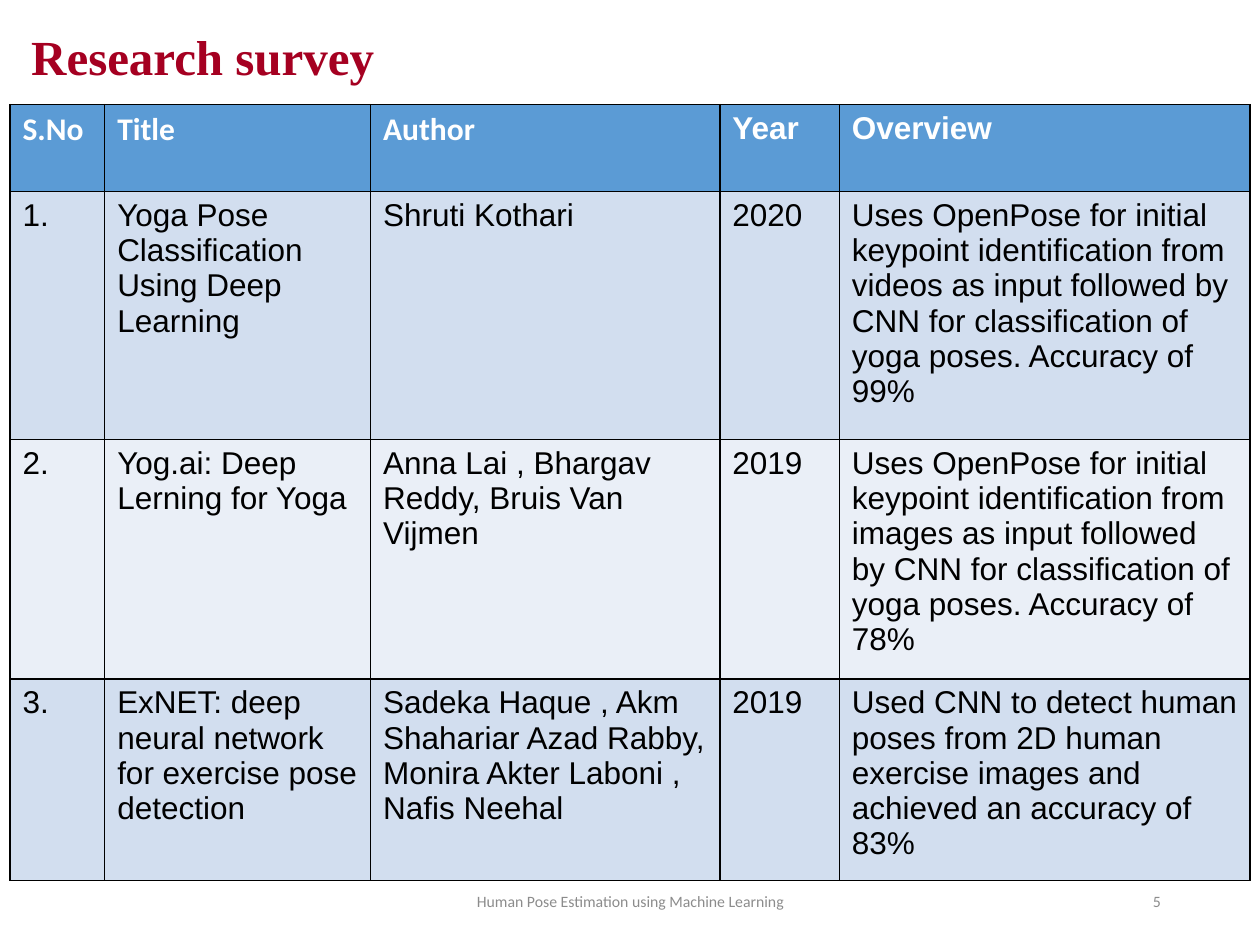
from typing import NamedTuple

from lxml import etree
from pptx import Presentation
from pptx import util as u
from pptx.dml.color import RGBColor
from pptx.enum import text
from pptx.oxml.ns import qn

COLORS = {
    "title": "A50021",
    "footer": "8C8C8C",
    "header": "5B9BD5",
    "odd_row": "D2DEEF",
    "even_row": "EAEFF7",
    "header_text": "FFFFFF",
    "body_text": "000000",
    "border": "000000",
}


class Box(NamedTuple):
    left: float
    top: float
    width: float
    height: float

    def lengths(self) -> list[u.Cm]:
        return [u.Cm(value) for value in self]


class Paper(NamedTuple):
    number: str
    title: str
    authors: str
    year: str
    overview: str


HEADER = Paper("S.No", "Title", "Author", "Year", "Overview")
HEADER_FONTS = ("Calibri", "Calibri", "Calibri", "Arial", "Arial")
PAPERS = [
    Paper("1.", "Yoga Pose Classification Using Deep Learning", "Shruti Kothari", "2020",
          "Uses OpenPose for initial keypoint identification from videos as input "
          "followed by CNN for classification of yoga poses. Accuracy of 99%"),
    Paper("2.", "Yog.ai: Deep Lerning for Yoga",
          "Anna Lai , Bhargav Reddy, Bruis Van Vijmen", "2019",
          "Uses OpenPose for initial keypoint identification from images as input "
          "followed by CNN for classification of yoga poses. Accuracy of 78%"),
    Paper("3.", "ExNET: deep neural network for exercise pose detection",
          "Sadeka Haque , Akm Shahariar Azad Rabby, Monira Akter Laboni ,\nNafis Neehal",
          "2019",
          "Used CNN to detect human poses from 2D human exercise images "
          "and achieved an accuracy of 83%"),
]
TABLE_BOX = Box(0.2, 2.11, 25, 15.46)
COLUMN_WIDTHS = (1.91, 5.36, 7.04, 2.41, 8.28)
ROW_HEIGHTS = (1.75, 5, 4.72, 3.99)


def write(frame, content: str, *, size: float, color: str, font: str = "Calibri",
          bold: bool = False, align=text.PP_ALIGN.LEFT,
          line_spacing: float = 1.0, space_after: float = 0) -> None:
    """Fill a text frame, one paragraph per line of content."""
    frame.word_wrap = True
    frame.text = content
    for paragraph in frame.paragraphs:
        paragraph.alignment = align
        paragraph.line_spacing = line_spacing
        paragraph.space_after = u.Pt(space_after)
        for run in paragraph.runs:
            run.font.size = u.Pt(size)
            run.font.name = font
            run.font.bold = bold
            run.font.color.rgb = RGBColor.from_string(COLORS[color])


def add_label(slide, box: Box, content: str, **text_format) -> None:
    frame = slide.shapes.add_textbox(*box.lengths()).text_frame
    frame.vertical_anchor = text.MSO_ANCHOR.MIDDLE
    write(frame, content, **text_format)


def style_cell(cell, fill: str) -> None:
    """Give a cell its fill and a 1 pt border on each side."""
    properties = cell._tc.get_or_add_tcPr()
    for side in ("a:lnL", "a:lnR", "a:lnT", "a:lnB"):
        line = etree.SubElement(properties, qn(side), w=str(u.Pt(1)))
        solid = etree.SubElement(line, qn("a:solidFill"))
        etree.SubElement(solid, qn("a:srgbClr"), val=COLORS["border"])
    cell.fill.solid()
    cell.fill.fore_color.rgb = RGBColor.from_string(COLORS[fill])


def add_survey_table(slide) -> None:
    rows = [HEADER, *PAPERS]
    table = slide.shapes.add_table(len(rows), len(HEADER), *TABLE_BOX.lengths()).table
    for column, width in zip(table.columns, COLUMN_WIDTHS):
        column.width = u.Cm(width)
    for row, height in zip(table.rows, ROW_HEIGHTS):
        row.height = u.Cm(height)

    for row_index, paper in enumerate(rows):
        is_header = row_index == 0
        fill = "header" if is_header else "odd_row" if row_index % 2 else "even_row"
        for column_index, content in enumerate(paper):
            cell = table.cell(row_index, column_index)
            style_cell(cell, fill)
            write(cell.text_frame, content, size=18, bold=is_header,
                  font=HEADER_FONTS[column_index] if is_header else "Arial",
                  color="header_text" if is_header else "body_text")


def main() -> None:
    presentation = Presentation()
    presentation.slide_width = u.Cm(25.4)
    presentation.slide_height = u.Cm(19.05)
    slide = presentation.slides.add_slide(presentation.slide_layouts[6])

    add_label(slide, Box(17.93, 17.65, 5.72, 1.02), "5",
              size=9, color="footer", align=text.PP_ALIGN.RIGHT)
    add_label(slide, Box(0.38, 0.28, 16.89, 1.6), "Research survey",
              size=28, color="title", font="Times New Roman", bold=True,
              line_spacing=1.07, space_after=4.5)
    add_label(slide, Box(8.41, 17.65, 8.59, 1.02),
              "Human Pose Estimation using Machine Learning",
              size=9, color="footer", align=text.PP_ALIGN.CENTER)
    add_survey_table(slide)
    presentation.save("out.pptx")


if __name__ == "__main__":
    main()
